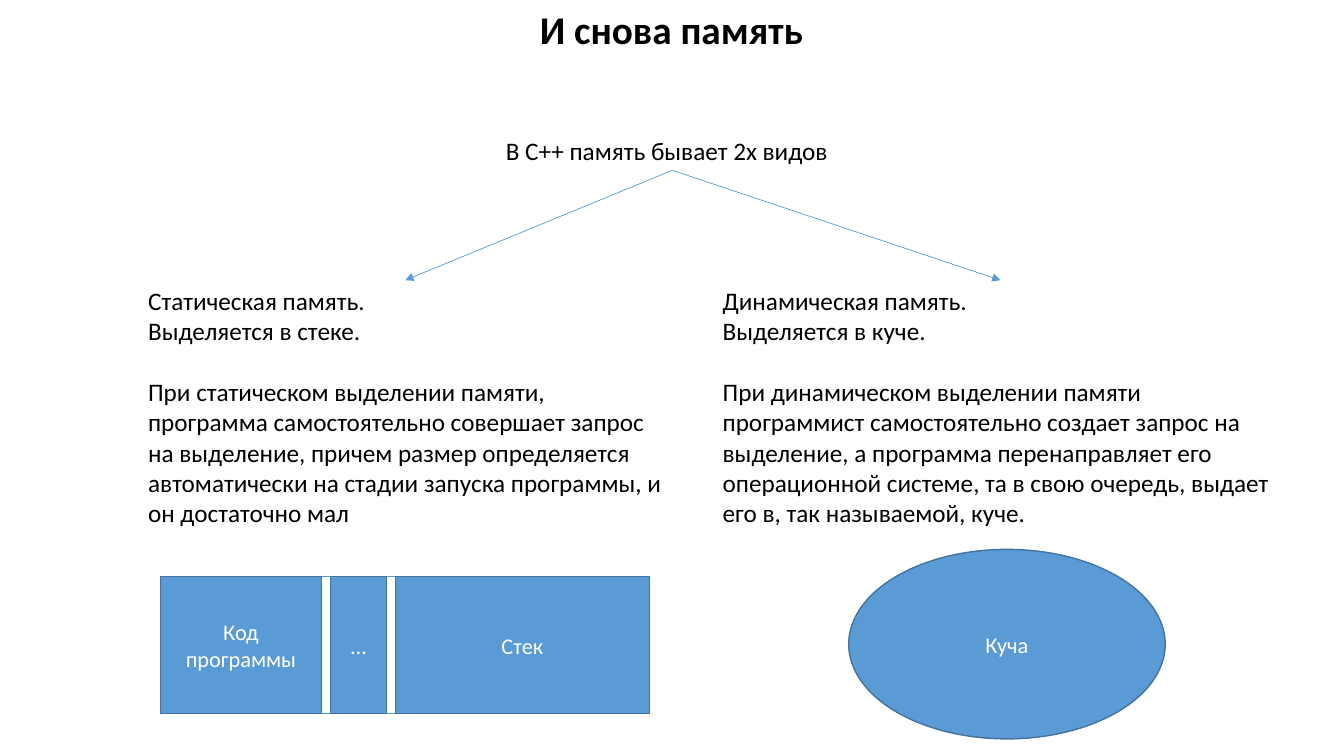
from lxml.etree import SubElement
from pptx import Presentation
from pptx.dml.color import RGBColor
from pptx.enum.shapes import MSO_CONNECTOR, MSO_SHAPE
from pptx.enum.text import MSO_ANCHOR, MSO_AUTO_SIZE, PP_ALIGN
from pptx.oxml.ns import qn
from pptx.util import Inches, Pt

STATIC_MEMORY = (
    "Статическая память.\nВыделяется в стеке.\n\n"
    "При статическом выделении памяти, программа самостоятельно совершает запрос "
    "на выделение, причем размер определяется автоматически на стадии запуска "
    "программы, и он достаточно мал"
)
DYNAMIC_MEMORY = (
    "Динамическая память.\nВыделяется в куче.\n\n"
    "При динамическом выделении памяти программист самостоятельно создает запрос "
    "на выделение, а программа перенаправляет его операционной системе, та в свою "
    "очередь, выдает его в, так называемой, куче."
)


def color(value):
    return RGBColor.from_string(value)


def write(frame, text, size=18, ink="000000", bold=False, align=PP_ALIGN.LEFT, gap=22):
    for index, block in enumerate(text.split("\n\n")):
        paragraph = frame.add_paragraph() if index else frame.paragraphs[0]
        paragraph.text = block
        paragraph.alignment = align
        if index:
            paragraph.space_before = Pt(gap)
        for run in paragraph.runs:
            run.font.name = "Calibri"
            run.font.size = Pt(size)
            run.font.bold = bold
            run.font.color.rgb = color(ink)


class MemorySlide:
    """Draws on one slide, with all lengths in percent of its width and height."""

    fill = "5B9BD5"
    outline = "43739E"
    white = "FFFFFF"

    def __init__(self, presentation):
        self.width = presentation.slide_width
        self.height = presentation.slide_height
        self.slide = presentation.slides.add_slide(presentation.slide_layouts[6])

    def place(self, left, top, width, height):
        return (
            round(left * self.width / 100),
            round(top * self.height / 100),
            round(width * self.width / 100),
            round(height * self.height / 100),
        )

    def text(self, box, text, wrap=True, **style):
        shape = self.slide.shapes.add_textbox(*self.place(*box))
        frame = shape.text_frame
        frame.word_wrap = wrap
        frame.auto_size = MSO_AUTO_SIZE.SHAPE_TO_FIT_TEXT
        write(frame, text, **style)
        return shape

    def shape(self, kind, box, text="", fill=fill, outline=outline, parent=None):
        shapes = (parent or self.slide).shapes
        shape = shapes.add_shape(kind, *self.place(*box))
        shape.shadow.inherit = False
        shape.fill.solid()
        shape.fill.fore_color.rgb = color(fill)
        shape.line.color.rgb = color(outline)
        shape.line.width = Pt(1)
        if text:
            shape.text_frame.word_wrap = True
            shape.text_frame.vertical_anchor = MSO_ANCHOR.MIDDLE
            write(shape.text_frame, text, size=16, ink=self.white, align=PP_ALIGN.CENTER)
        return shape

    def arrow(self, source, target):
        connector = self.slide.shapes.add_connector(MSO_CONNECTOR.STRAIGHT, 0, 0, 0, 0)
        connector.begin_connect(source, 2)
        connector.end_connect(target, 0)
        connector.line.color.rgb = color(self.fill)
        connector.line.width = Pt(0.5)
        SubElement(connector.line._get_or_add_ln(), qn("a:tailEnd"), type="triangle")
        SubElement(connector._element.spPr, qn("a:effectLst"))

    def memory_bar(self, left, top, height, gap, segments):
        group = self.slide.shapes.add_group_shape()
        total = sum(width for _, width in segments) + gap * (len(segments) - 1)
        self.shape(MSO_SHAPE.RECTANGLE, (left, top, total, height),
                   fill=self.white, outline=self.fill, parent=group)
        for label, width in segments:
            self.shape(MSO_SHAPE.FLOWCHART_PROCESS, (left, top, width, height),
                       label, parent=group)
            left += width + gap


def main():
    presentation = Presentation()
    presentation.slide_width = Inches(13.33)
    presentation.slide_height = Inches(7.5)
    page = MemorySlide(presentation)

    page.text((39.3, 0, 21.3, 7.6), "И снова память", wrap=False,
              size=28, bold=True, align=PP_ALIGN.CENTER)
    kinds = page.text((36.9, 17.2, 26.25, 5.33), "В С++ память бывает 2х видов", wrap=False)
    branches = [
        page.text((left, 37.07, width, 33.6), text)
        for left, width, text in ((10.28, 39.75, STATIC_MEMORY), (53.03, 42.83, DYNAMIC_MEMORY))
    ]
    for branch in branches:
        page.arrow(kinds, branch)

    page.memory_bar(11.93, 76.27, 18.13, 0.68,
                    [("Код программы", 12), ("…", 4.13), ("Стек", 18.9)])
    page.shape(MSO_SHAPE.OVAL, (63.15, 72.67, 23.55, 25.07), "Куча")

    presentation.save("out.pptx")


if __name__ == "__main__":
    main()
